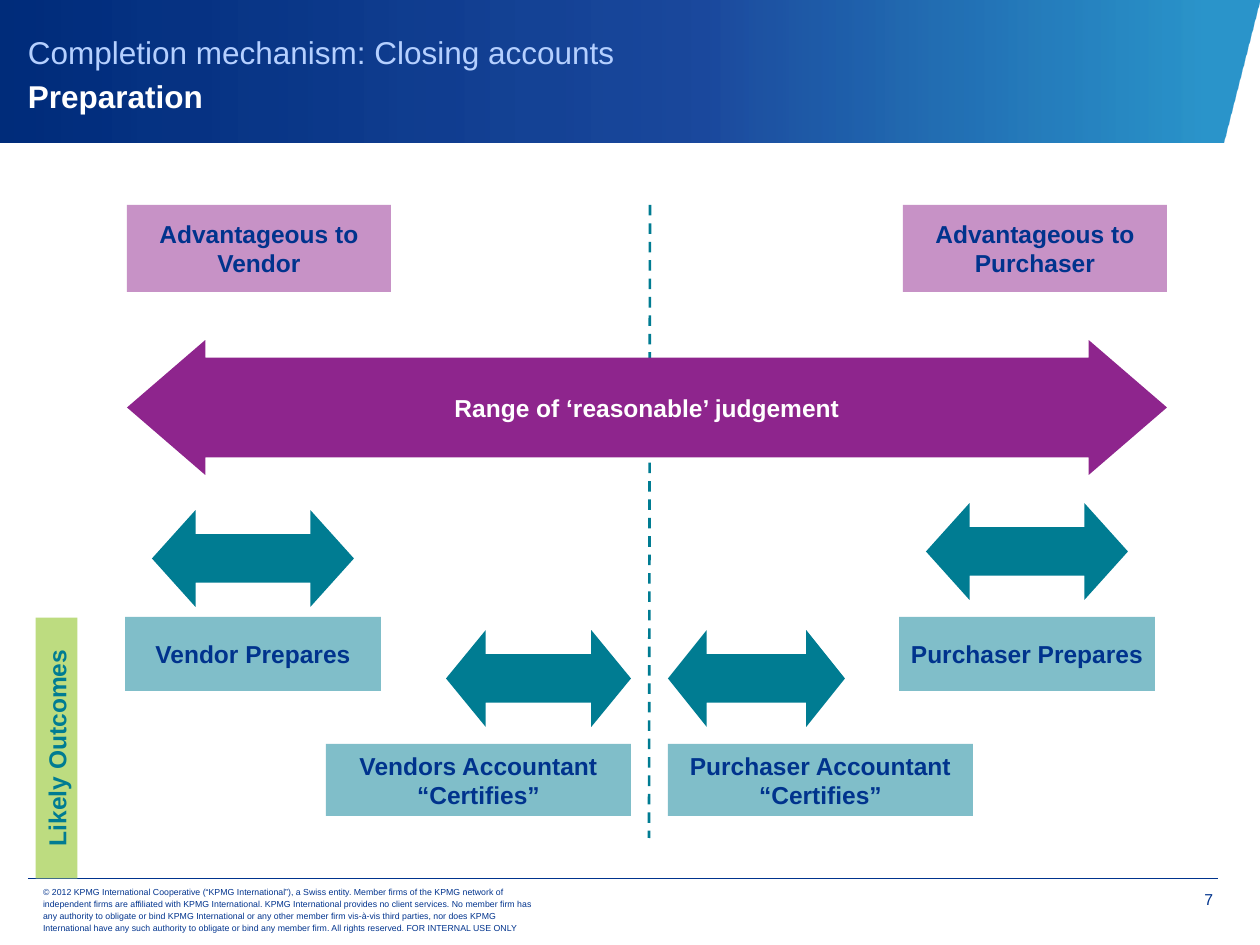
from lxml import etree
from pptx import Presentation
from pptx.dml.color import RGBColor as RGB
from pptx.enum.dml import MSO_LINE_DASH_STYLE as Dash
from pptx.enum.shapes import MSO_CONNECTOR as Conn, MSO_SHAPE as Kind
from pptx.enum.text import MSO_ANCHOR as Anchor, PP_ALIGN as Align
from pptx.oxml import parse_xml
from pptx.oxml.ns import nsdecls, qn
from pptx.util import Pt

PX = 914400 / 126
NAVY = RGB(0x00, 0x33, 0x8D)
TEAL = RGB(0x00, 0x7C, 0x92)
AQUA = RGB(0x80, 0xBE, 0xC9)
PLUM = RGB(0x8E, 0x25, 0x8D)
LILAC = RGB(0xC7, 0x92, 0xC6)
LIME = RGB(0xBD, 0xDC, 0x80)
SKY = RGB(0xB5, 0xD0, 0xFF)
WHITE = RGB(0xFF, 0xFF, 0xFF)

deck = Presentation()
deck.slide_width, deck.slide_height = round(1260 * PX), round(945 * PX)
slide = deck.slides.add_slide(deck.slide_layouts[6])
shapes = slide.shapes


def px(*nums):
    return [round(n * PX) for n in nums]


def write(shape, text, size=14, color=NAVY, bold=False, align=Align.CENTER,
          anchor=Anchor.MIDDLE, pad=(8, 8, 8, 8), lead=None):
    """Add a run to the first paragraph, with pad as left, top, right, bottom."""
    frame = shape.text_frame
    frame.word_wrap = True
    frame.vertical_anchor = anchor
    (frame.margin_left, frame.margin_top,
     frame.margin_right, frame.margin_bottom) = px(*pad)
    par = frame.paragraphs[0]
    par.alignment = align
    if lead:
        par.line_spacing = Pt(lead)
    run = par.add_run()
    run.text = text
    font = run.font
    font.name, font.size, font.bold = "Arial", Pt(size), bold
    font.color.rgb = color


# Header band, fading from right to left
path = shapes.build_freeform(-1, 142, scale=PX)
path.add_line_segments([(1223, 142), (1260, -1), (-1, 0)], close=True)
band = path.convert_to_shape()
band.shadow.inherit = False
band.line.fill.background()
stops = "".join(
    f'<a:gs pos="{pos}000"><a:srgbClr val="{hue}"><a:alpha val="{alpha}000"/></a:srgbClr></a:gs>'
    for pos, hue, alpha in [(4, "0080C0", 83), (44, "003492", 89), (100, "002C7A", 100)])
band.fill.background()
props = band._element.spPr
props.replace(props.find(qn("a:noFill")), parse_xml(
    f'<a:gradFill {nsdecls("a")} rotWithShape="1"><a:gsLst>{stops}</a:gsLst>'
    '<a:lin ang="10800000" scaled="0"/></a:gradFill>'))

# Footer
note = shapes.add_textbox(*px(30, 887, 523, 44))
write(note, "© 2012 KPMG International Cooperative (“KPMG International”), a Swiss entity. "
      "Member firms of the KPMG network of independent firms are affiliated with KPMG "
      "International. KPMG International provides no client services. No member firm has any "
      "authority to obligate or bind KPMG International or any other member firm vis-à-vis "
      "third parties, nor does KPMG International have any such authority to obligate or bind "
      "any member firm. All rights reserved. FOR INTERNAL USE ONLY",
      size=5, align=Align.LEFT, pad=(13, 6, 13, 6), lead=7)
page = shapes.add_textbox(*px(1144, 880, 69, 39))
write(page, "7", size=9, align=Align.RIGHT, anchor=Anchor.TOP, pad=(10, 10, 0, 0))

# Footer rule and centre line
for ends, color, width, dash in [
    ((28, 878, 1218, 878), NAVY, 0.25, None),
    ((650, 205, 649, 838), TEAL, 1.5, Dash.DASH),
]:
    rule = shapes.add_connector(Conn.STRAIGHT, *px(*ends))
    rule.line.color.rgb = color
    rule.line.width = Pt(width)
    rule.line.dash_style = dash
    etree.SubElement(rule._element.spPr, qn("a:effectLst"))

# Arrows: box, fill, shaft and head ratios, label
for box, fill, shaft, head, label in [
    ((127, 340, 1040, 135), PLUM, 0.74, 0.58, "Range of ‘reasonable’ judgement"),
    ((152, 510, 202, 97), TEAL, 0.5, 0.45, ""),
    ((926, 503, 202, 97), TEAL, 0.5, 0.45, ""),
    ((446, 630, 185, 97), TEAL, 0.5, 0.41, ""),
    ((668, 630, 177, 97), TEAL, 0.5, 0.4, ""),
]:
    arrow = shapes.add_shape(Kind.LEFT_RIGHT_ARROW, *px(*box))
    arrow.shadow.inherit = False
    arrow.adjustments[0], arrow.adjustments[1] = shaft, head
    arrow.fill.solid()
    arrow.fill.fore_color.rgb = fill
    arrow.line.fill.background()
    if label:
        write(arrow, label, color=WHITE, bold=True)

# Labelled boxes
for box, fill, color, turn, label in [
    ((127, 205, 264, 87), LILAC, NAVY, 0, "Advantageous to Vendor"),
    ((903, 205, 264, 87), LILAC, NAVY, 0, "Advantageous to Purchaser"),
    ((125, 617, 256, 74), AQUA, NAVY, 0, "Vendor Prepares"),
    ((899, 617, 256, 74), AQUA, NAVY, 0, "Purchaser Prepares"),
    ((326, 744, 305, 72), AQUA, NAVY, 0, "Vendors Accountant “Certifies”"),
    ((668, 744, 305, 72), AQUA, NAVY, 0, "Purchaser Accountant “Certifies”"),
    ((-74, 727, 261, 42), LIME, TEAL, 270, "Likely Outcomes"),
]:
    card = shapes.add_shape(Kind.RECTANGLE, *px(*box))
    card.shadow.inherit = False
    card.rotation = turn
    card.fill.solid()
    card.fill.fore_color.rgb = fill
    card.line.fill.background()
    write(card, label, color=color, bold=True)

# Title
title = shapes.add_textbox(*px(28, 16, 1178, 110))
look = dict(size=18, align=Align.LEFT, pad=(0, 0, 0, 0), lead=25)
write(title, "Completion mechanism: Closing accounts", color=SKY, **look)
title.text_frame.paragraphs[0].add_line_break()
write(title, "Preparation", color=WHITE, bold=True, **look)

deck.save("out.pptx")
